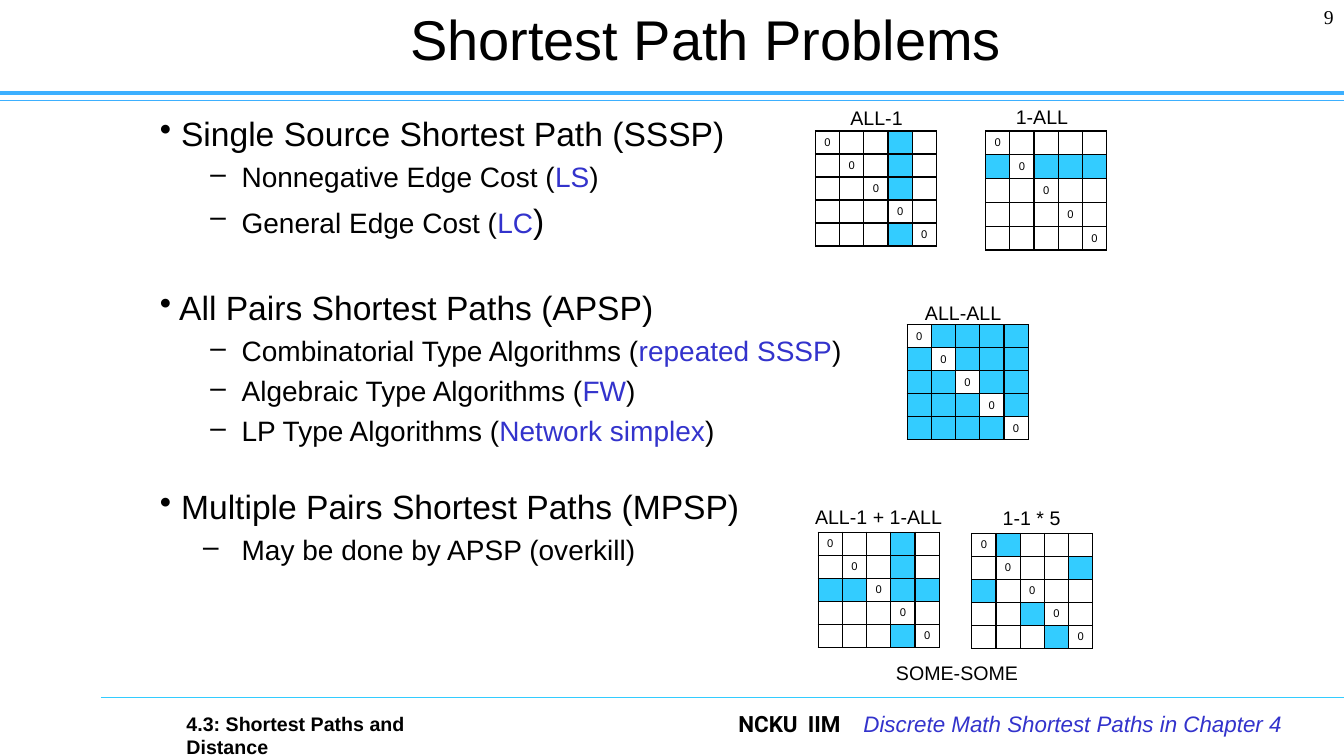
from lxml import etree
from pptx import Presentation
from pptx.dml.color import RGBColor
from pptx.enum.shapes import MSO_CONNECTOR
from pptx.enum.text import MSO_ANCHOR as Anchor, PP_ALIGN as Align
from pptx.oxml.ns import qn
from pptx.util import Cm, Pt

# Content
COLORS = {"black": "000000", "white": "FFFFFF", "cyan": "33CCFF",
          "rule": "3DB0FF", "link": "3333CC"}
TITLE = "Shortest Path Problems"
PAGE = "9"
SECTION = "4.3: Shortest Paths and Distance"
SCHOOL, CHAPTER = "NCKU\tIIM\t", "Discrete Math Shortest Paths in Chapter 4"

# Outline: level, space before (pt), dash hang (cm), runs of (text, size, colour)
OUTLINE = [
    (0, 0, 0, [(" Single Source Shortest Path (SSSP)", 24, "black")]),
    (1, 4.6, 0.79, [("Nonnegative Edge Cost (", 20, "black"),
                    ("LS", 20, "link"), (")", 20, "black")]),
    (1, 4.6, 0.79, [("General Edge Cost (", 20, "black"),
                    ("LC", 20, "link"), (")", 24, "black")]),
    (0, 33.5, 0, [(" All Pairs Shortest Paths (APSP)", 24, "black")]),
    (1, 4.6, 0.79, [("Combinatorial Type Algorithms (", 20, "black"),
                    ("repeated SSSP", 20, "link"), (")", 20, "black")]),
    (1, 4.6, 0.79, [("Algebraic Type Algorithms (", 20, "black"),
                    ("FW", 20, "link"), (")", 20, "black")]),
    (1, 4.6, 0.79, [("LP Type Algorithms (", 20, "black"),
                    ("Network simplex", 20, "link"), (")", 20, "black")]),
    (0, 27.6, 0, [(" Multiple Pairs Shortest Paths (MPSP)", 24, "black")]),
    (1, 4.6, 0.97, [("May be done by APSP (overkill)", 20, "black")]),
]

# Matrices: left, top, row height (cm), rows; # is a filled cell
MATRICES = [
    (20.55, 3.3, 0.58, ["0..#.", ".0.#.", "..0#.", "...0.", "...#0"]),
    (24.84, 3.3, 0.6, ["0....", "#0###", "..0..", "...0.", "....0"]),
    (22.86, 8.18, 0.58, ["0####", "#0###", "##0##", "###0#", "####0"]),
    (20.62, 13.41, 0.58, ["0..#.", ".0.#.", "##0##", "...0.", "...#0"]),
    (24.49, 13.44, 0.58, ["0#...", ".0..#", "#.0..", "..#0.", "...#0"]),
]
COLUMN = 0.61

# Labels: text, left, top, width (cm)
LABELS = [
    ("ALL-1", 21.18, 2.54, 1.83),
    ("1-ALL", 25.35, 2.51, 1.85),
    ("ALL-ALL", 23.06, 7.47, 2.46),
    ("ALL-1 + 1-ALL", 20.29, 12.6, 3.73),
    ("1-1 * 5", 25.02, 12.62, 1.98),
    ("SOME-SOME", 22.33, 16.54, 3.61),
]

# Rules: left, height on the slide (cm), line width (pt), colour
RULES = [(0, 2.54, 0.75, "rule"), (0, 2.34, 2.5, "rule"), (2.54, 17.58, 0.75, "cyan")]
WIDTH, HEIGHT = 33.87, 19.05


def rgb(name):
    return RGBColor.from_string(COLORS[name])


def add_text(p, text, size=14, color="black", font="Arial", bold=False,
             italic=False, align=None):
    r = p.add_run()
    r.text = text
    r.font.size, r.font.name = Pt(size), font
    r.font.bold, r.font.italic = bold, italic
    r.font.color.rgb = rgb(color)
    if align is not None:
        p.alignment = align


def add_box(s, left, top, width, height, wrap=True):
    tf = s.shapes.add_textbox(Cm(left), Cm(top), Cm(width), Cm(height)).text_frame
    tf.word_wrap = wrap
    return tf


def add_rule(s, left, y, width, color):
    line = s.shapes.add_connector(MSO_CONNECTOR.STRAIGHT, Cm(left), Cm(y), Cm(WIDTH), Cm(y))
    line.line.width = Pt(width)
    line.line.color.rgb = rgb(color)
    etree.SubElement(line.element.spPr, qn("a:effectLst"))


def add_outline(s):
    tf = add_box(s, 3.78, 2.72, 25.27, 15.04)
    for i, (level, before, hang, runs) in enumerate(OUTLINE):
        p = tf.paragraphs[0] if i == 0 else tf.add_paragraph()
        pPr = p._p.get_or_add_pPr()
        pPr.set("marL", str(Cm(2.06) if level else 0))
        pPr.set("indent", str(-Cm(hang)))
        p.level = level
        p.space_before = Pt(before)
        etree.SubElement(pPr, qn("a:buChar"), char="–" if level else "•")
        for text, size, color in runs:
            add_text(p, text, size, color)


def style_cell(cell, mark):
    cell.margin_left = cell.margin_right = cell.margin_top = cell.margin_bottom = 0
    cell.vertical_anchor = Anchor.MIDDLE
    tcPr = cell._tc.get_or_add_tcPr()
    for side in ("lnL", "lnR", "lnT", "lnB"):
        ln = etree.SubElement(tcPr, qn(f"a:{side}"), w=str(Pt(1)))
        fill = etree.SubElement(ln, qn("a:solidFill"))
        etree.SubElement(fill, qn("a:srgbClr"), val=COLORS["black"])
    cell.fill.solid()
    cell.fill.fore_color.rgb = rgb("cyan" if mark == "#" else "white")
    p = cell.text_frame.paragraphs[0]
    if mark == "0":
        add_text(p, mark, 8, align=Align.CENTER)
    else:
        etree.SubElement(p._p, qn("a:endParaRPr"), sz="800")


def add_matrix(s, left, top, row_height, rows):
    n = len(rows)
    table = s.shapes.add_table(n, n, Cm(left), Cm(top), Cm(n * COLUMN),
                               Cm(n * row_height)).table
    table.first_row = table.horz_banding = False
    for i, marks in enumerate(rows):
        table.rows[i].height = Cm(row_height)
        table.columns[i].width = Cm(COLUMN)
        for j, mark in enumerate(marks):
            style_cell(table.cell(i, j), mark)


def main():
    prs = Presentation()
    prs.slide_width, prs.slide_height = Cm(WIDTH), Cm(HEIGHT)
    s = prs.slides.add_slide(prs.slide_layouts[6])

    # Frame: rules, footer, page number
    for rule in RULES:
        add_rule(s, *rule)
    p = add_box(s, 18.36, 17.78, 15, 1.27).paragraphs[0]
    tabs = etree.SubElement(p._p.get_or_add_pPr(), qn("a:tabLst"))
    for stop in (1.75, 3.15):
        etree.SubElement(tabs, qn("a:tab"), pos=str(Cm(stop)), algn="l")
    add_text(p, SCHOOL, 16, font="Roboto", bold=True)
    add_text(p, CHAPTER, 16, "link", italic=True)
    add_text(add_box(s, 4.45, 17.81, 7.6, 0.84).paragraphs[0], SECTION, bold=True)
    add_text(add_box(s, 31.04, 0, 2.82, 1.27).paragraphs[0], PAGE,
             font="Times New Roman", align=Align.RIGHT)

    # Title and outline
    tf = add_box(s, 4.52, 0, 26.52, 1.9)
    tf.vertical_anchor = Anchor.MIDDLE
    add_text(tf.paragraphs[0], TITLE, 40, align=Align.CENTER)
    add_outline(s)

    # Matrices and their labels
    for matrix in MATRICES:
        add_matrix(s, *matrix)
    for text, left, top, width in LABELS:
        add_text(add_box(s, left, top, width, 0.86, wrap=False).paragraphs[0], text)

    prs.save("out.pptx")


if __name__ == "__main__":
    main()
